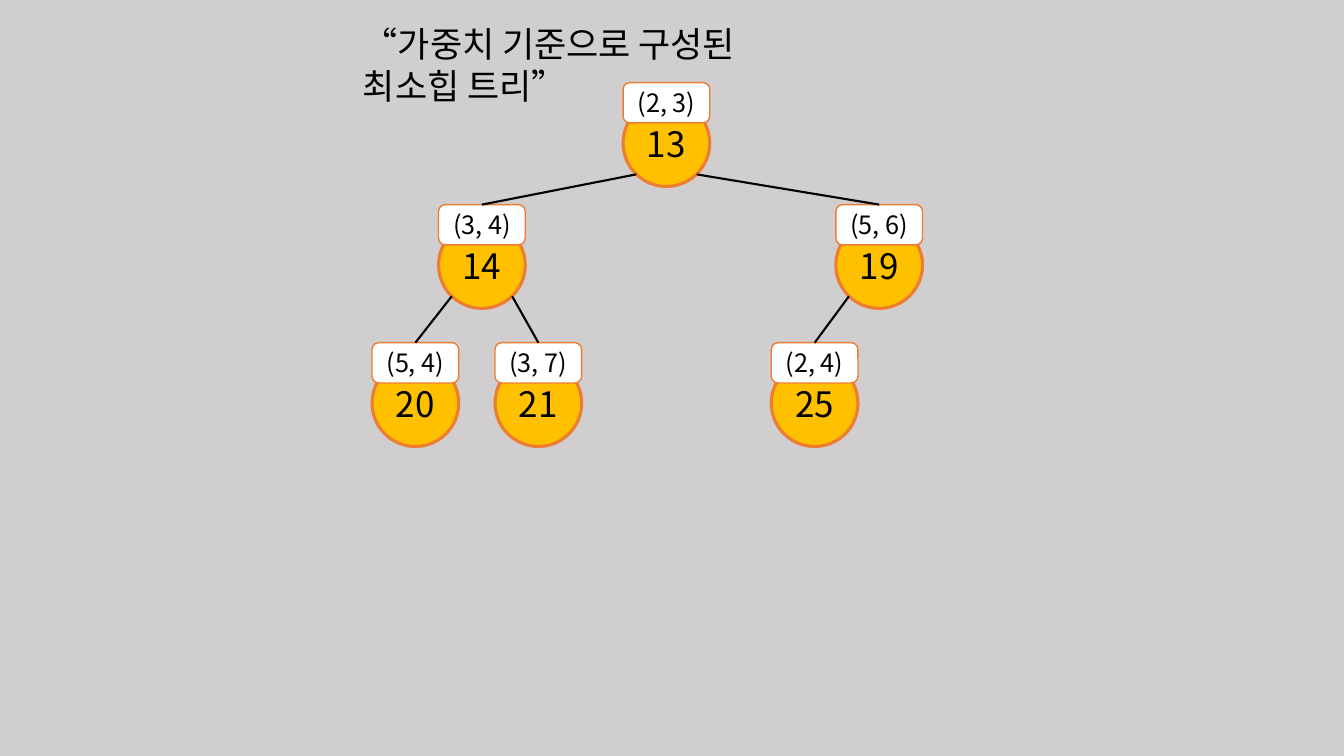
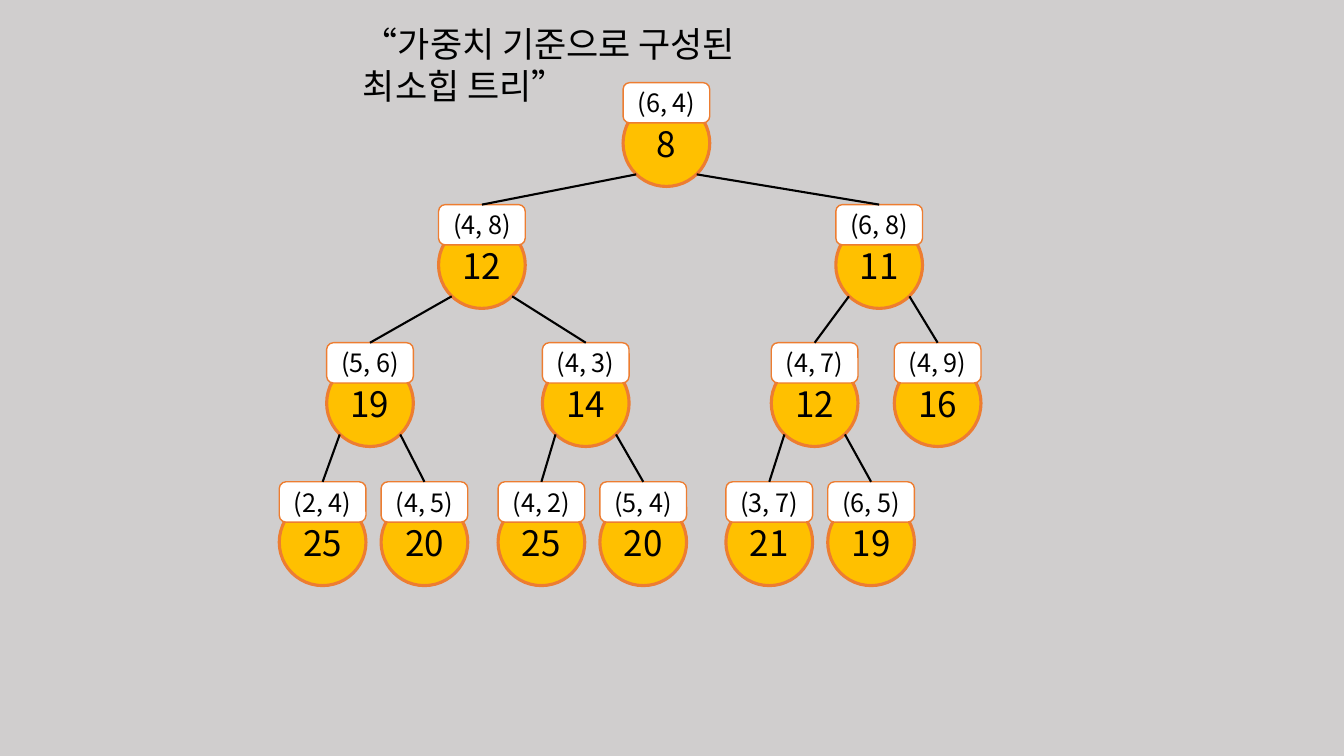
"""Build two slides showing min-heap trees ordered by weight."""
from dataclasses import dataclass

from lxml import etree
from pptx import Presentation
from pptx import util as u
from pptx.dml.color import RGBColor
from pptx.enum import shapes, text
from pptx.oxml import ns


@dataclass(frozen=True)
class Theme:
    """Hold the shared colours, font, type sizes and measures."""
    back: str = "D0CECE"
    ink: str = "000000"
    disc: str = "FFC000"
    edge: str = "ED7D31"
    tag: str = "FFFFFF"
    font: str = "Noto Sans CJK KR"
    big: float = 25
    small: float = 18
    lead: float = 30
    wide: float = 0.86
    high: float = 0.4
    drop: float = 0.17
    reach: float = 0.3
    foot: float = 0.91


T = Theme()
TITLE = "“가중치 기준으로 구성된 최소힙 트리”"
ROWS = (0.82, 2.03, 3.4, 4.78)
TOP = (6.18, 4.35, 8.29)
TREES = (
    (TOP + (3.69, 4.91, 7.65),
     ((13, 2, 3), (14, 3, 4), (19, 5, 6),
      (20, 5, 4), (21, 3, 7), (25, 2, 4))),
    (TOP + (3.24, 5.38, 7.65, 8.87, 2.77, 3.78, 4.94, 5.95, 7.2, 8.21),
     ((8, 6, 4), (12, 4, 8), (11, 6, 8),
      (19, 5, 6), (14, 4, 3), (12, 4, 7), (16, 4, 9),
      (25, 2, 4), (20, 4, 5), (25, 4, 2), (20, 5, 4),
      (21, 3, 7), (19, 6, 5))),
)


def color(code):
    """Turn a hex code into a colour."""
    return RGBColor.from_string(code)


def write(frame, words, size=T.big, align="CENTER", anchor="MIDDLE",
          wrap=False, lead=None):
    """Put formatted text into a frame."""
    frame.auto_size = text.MSO_AUTO_SIZE.NONE
    frame.word_wrap = wrap
    frame.vertical_anchor = text.MSO_ANCHOR[anchor]
    para = frame.paragraphs[0]
    para.alignment = text.PP_ALIGN[align]
    if lead:
        para.line_spacing = u.Pt(lead)
    run = para.add_run()
    run.text = words
    run.font.size = u.Pt(size)
    run.font.name = T.font
    run.font.color.rgb = color(T.ink)
    east = etree.SubElement(run.font._element, ns.qn("a:ea"))
    east.set("typeface", T.font)


def head(slide):
    """Place the title in its placeholder."""
    title = slide.shapes.title
    title.left, title.top = u.Inches(3.5), u.Inches(0.17)
    title.width, title.height = u.Inches(4.76), u.Inches(0.52)
    write(title.text_frame, TITLE, align="LEFT", anchor="TOP",
          wrap=True, lead=T.lead)


def block(group, kind, x, y, high, fill, line, words, size):
    """Add one filled, outlined and labelled shape to a group."""
    shape = group.shapes.add_shape(
        shapes.MSO_SHAPE[kind], u.Inches(x), u.Inches(y),
        u.Inches(T.wide), u.Inches(high))
    shape.shadow.inherit = False
    shape.fill.solid()
    shape.fill.fore_color.rgb = color(fill)
    shape.line.color.rgb = color(T.edge)
    shape.line.width = u.Pt(line)
    write(shape.text_frame, words, size=size)
    return shape


def node(slide, x, y, weight, ends):
    """Add a weight disc with its edge tag and return the tag."""
    group = slide.shapes.add_group_shape()
    block(group, "OVAL", x, y + T.drop, T.wide, T.disc, 2.25,
          str(weight), T.big)
    return block(group, "ROUNDED_RECTANGLE", x, y, T.high, T.tag, 1,
                 "({}, {})".format(*ends), T.small)


def link(slide, x, y, tag):
    """Draw a branch from a point to the top of a tag."""
    line = slide.shapes.add_connector(
        shapes.MSO_CONNECTOR.STRAIGHT, u.Inches(x), u.Inches(y),
        tag.left + tag.width // 2, tag.top)
    line.end_connect(tag, 0)
    line.line.color.rgb = color(T.ink)
    line.line.width = u.Pt(1.5)
    etree.SubElement(line._element.spPr, ns.qn("a:effectLst"))


def tree(slide, lefts, heap):
    """Draw a heap stored in level order."""
    spots = [(x, ROWS[(i + 1).bit_length() - 1])
             for i, x in enumerate(lefts)]
    for i, ((x, y), (weight, *ends)) in enumerate(zip(spots, heap)):
        tag = node(slide, x, y, weight, ends)
        if i:
            px, py = spots[(i - 1) // 2]
            side = -T.reach if i % 2 else T.reach
            link(slide, px + T.wide / 2 + side, py + T.foot, tag)


def main():
    """Build and save the deck."""
    deck = Presentation()
    deck.slide_width, deck.slide_height = u.Inches(13.33), u.Inches(7.5)
    fill = deck.slide_master.background.fill
    fill.solid()
    fill.fore_color.rgb = color(T.back)
    for lefts, heap in TREES:
        slide = deck.slides.add_slide(deck.slide_layouts[5])
        head(slide)
        tree(slide, lefts, heap)
    deck.save("out.pptx")


if __name__ == "__main__":
    main()
